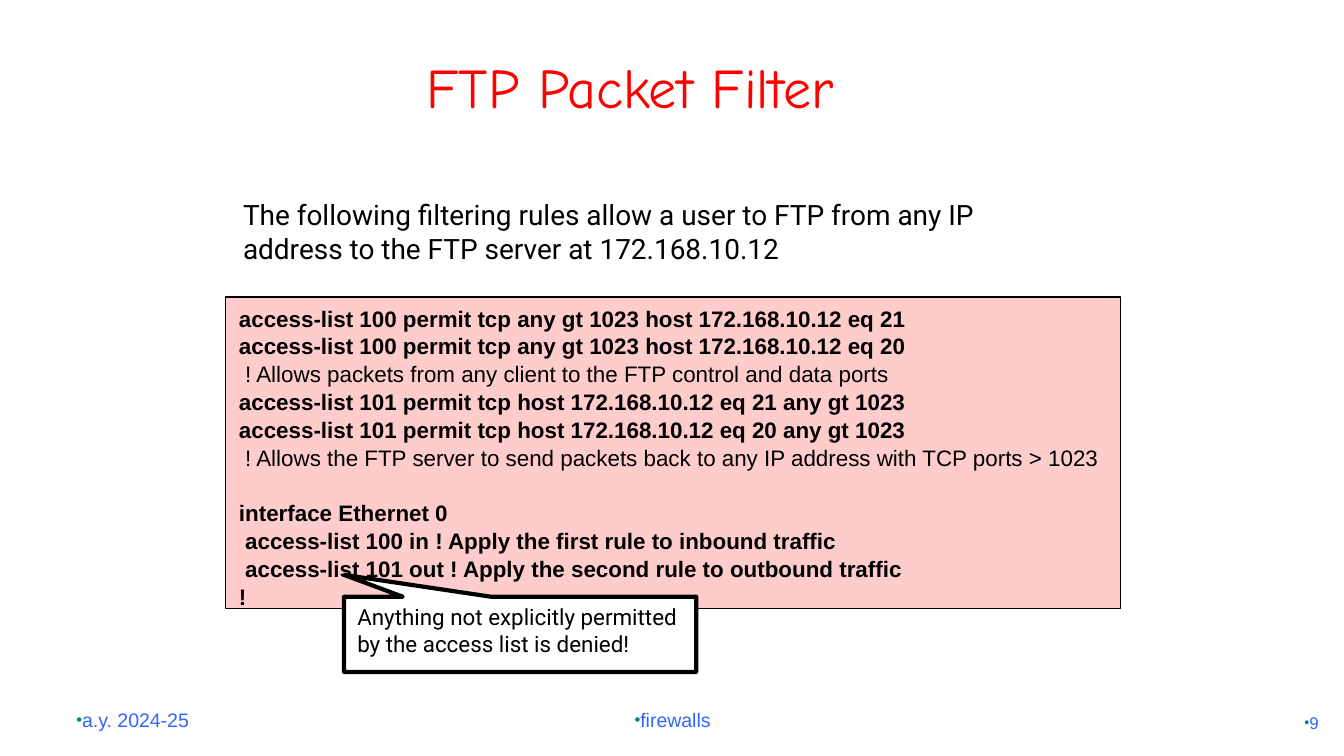
"""Build the FTP packet filter slide."""
from dataclasses import dataclass
from typing import Any

from lxml import etree
from pptx import Presentation
from pptx import util as u
from pptx.dml.color import RGBColor
from pptx.enum import shapes, text
from pptx.oxml.ns import qn


@dataclass(frozen=True)
class Theme:
    black: str = "000000"
    white: str = "FFFFFF"
    red: str = "FF0000"
    pink: str = "FFCCCC"
    blue: str = "3366FF"
    teal: str = "008080"
    sans: str = "Arial"
    body: str = "Roboto"
    comic: str = "Comic Neue"
    title: float = 30
    lead: float = 15
    code: float = 12
    foot: float = 10.5
    page: float = 9


@dataclass(frozen=True)
class Box:
    left: float
    top: float
    width: float
    height: float


@dataclass(frozen=True)
class Style:
    font: str
    size: float
    color: str


@dataclass(frozen=True)
class Line:
    words: str
    bold: bool = False
    gap: float = 0


@dataclass(frozen=True)
class Foot:
    words: str
    box: Box
    align: Any
    size: float


T = Theme()
LEFT, MID, RIGHT = text.PP_ALIGN.LEFT, text.PP_ALIGN.CENTER, text.PP_ALIGN.RIGHT
TOP, BASE = text.MSO_ANCHOR.TOP, text.MSO_ANCHOR.BOTTOM
PITCH = 1.04

RULES = [
    Line("access-list 100 permit tcp any gt 1023 host 172.168.10.12 eq 21", True),
    Line("access-list 100 permit tcp any gt 1023 host 172.168.10.12 eq 20", True),
    Line(" ! Allows packets from any client to the FTP control and data ports"),
    Line("access-list 101 permit tcp host 172.168.10.12 eq 21 any gt 1023", True),
    Line("access-list 101 permit tcp host 172.168.10.12 eq 20 any gt 1023", True),
    Line(" ! Allows the FTP server to send packets back to any IP address with TCP ports > 1023"),
    Line("interface Ethernet 0", True, 14.4),
    Line(" access-list 100 in ! Apply the first rule to inbound traffic", True),
    Line(" access-list 101 out ! Apply the second rule to outbound traffic", True),
    Line("!", True),
]

FEET = [
    Foot("a.y. 2024-25", Box(33.84, 367.92, 149.76, 27.36), LEFT, T.foot),
    Foot("firewalls", Box(246.24, 367.92, 228.24, 27.36), MID, T.foot),
    Foot("9", Box(563.76, 368.64, 149.76, 27.36), RIGHT, T.page),
]


def place(box: Box) -> list[u.Length]:
    """Return the box as lengths."""
    return [u.Pt(v) for v in (box.left, box.top, box.width, box.height)]


def dot(para: Any) -> None:
    """Give a paragraph a small teal bullet."""
    props = para._p.get_or_add_pPr()
    props.set("marL", "0")
    props.set("indent", "0")
    tint = etree.SubElement(props, qn("a:buClr"))
    etree.SubElement(tint, qn("a:srgbClr"), val=T.teal)
    etree.SubElement(props, qn("a:buSzPct"), val="85000")
    etree.SubElement(props, qn("a:buFont"), typeface=T.sans)
    etree.SubElement(props, qn("a:buChar"), char="•")


def write(shape: Any, lines: list[Line], style: Style, align: Any = LEFT,
          anchor: Any = TOP, pitch: float | None = None, mark: bool = False) -> None:
    """Fill a shape with styled lines."""
    frame = shape.text_frame
    frame.word_wrap = True
    frame.auto_size = text.MSO_AUTO_SIZE.NONE
    frame.vertical_anchor = anchor
    for i, line in enumerate(lines):
        para = frame.add_paragraph() if i else frame.paragraphs[0]
        para.alignment = align
        if pitch:
            para.line_spacing = pitch
        if line.gap:
            para.space_before = u.Pt(line.gap)
        if mark:
            dot(para)
        run = para.add_run()
        run.text = line.words
        run.font.name = style.font
        run.font.size = u.Pt(style.size)
        run.font.bold = line.bold
        run.font.color.rgb = RGBColor.from_string(style.color)


def label(slide: Any, box: Box, words: str, style: Style, **look: Any) -> None:
    """Add a one-paragraph text box."""
    write(slide.shapes.add_textbox(*place(box)), [Line(words)], style, **look)


def panel(slide: Any, kind: Any, box: Box, fill: str, edge: float) -> Any:
    """Add a filled shape with a black outline."""
    shape = slide.shapes.add_shape(kind, *place(box))
    shape.shadow.inherit = False
    shape.fill.solid()
    shape.fill.fore_color.rgb = RGBColor.from_string(fill)
    shape.line.color.rgb = RGBColor.from_string(T.black)
    shape.line.width = u.Pt(edge)
    return shape


def main() -> None:
    """Build and save the deck."""
    deck = Presentation()
    deck.slide_width, deck.slide_height = u.Pt(720), u.Pt(405)
    slide = deck.slides.add_slide(deck.slide_layouts[6])
    kinds = shapes.MSO_SHAPE

    label(slide, Box(123.12, 102.24, 450, 43.92),
          "The following filtering rules allow a user to FTP from any IP "
          "address to the FTP server at 172.168.10.12",
          Style(T.body, T.lead, T.black))
    code = panel(slide, kinds.RECTANGLE, Box(120.96, 159.12, 479.52, 167.04), T.pink, 0.75)
    write(code, RULES, Style(T.sans, T.code, T.black), pitch=PITCH)
    label(slide, Box(31.68, 13.68, 612, 54), "FTP Packet Filter",
          Style(T.comic, T.title, T.red), align=MID, anchor=BASE)
    for foot in FEET:
        label(slide, foot.box, foot.words, Style(T.sans, foot.size, T.blue),
              align=foot.align, anchor=BASE, mark=True)

    note = panel(slide, kinds.RECTANGULAR_CALLOUT, Box(184.32, 319.68, 188.64, 40.32),
                 T.white, 2.25)
    note.adjustments[0], note.adjustments[1] = -0.5, -0.79
    write(note, [Line("Anything not explicitly permitted by the access list is denied!")],
          Style(T.body, T.code, T.black))
    deck.save("out.pptx")


if __name__ == "__main__":
    main()
